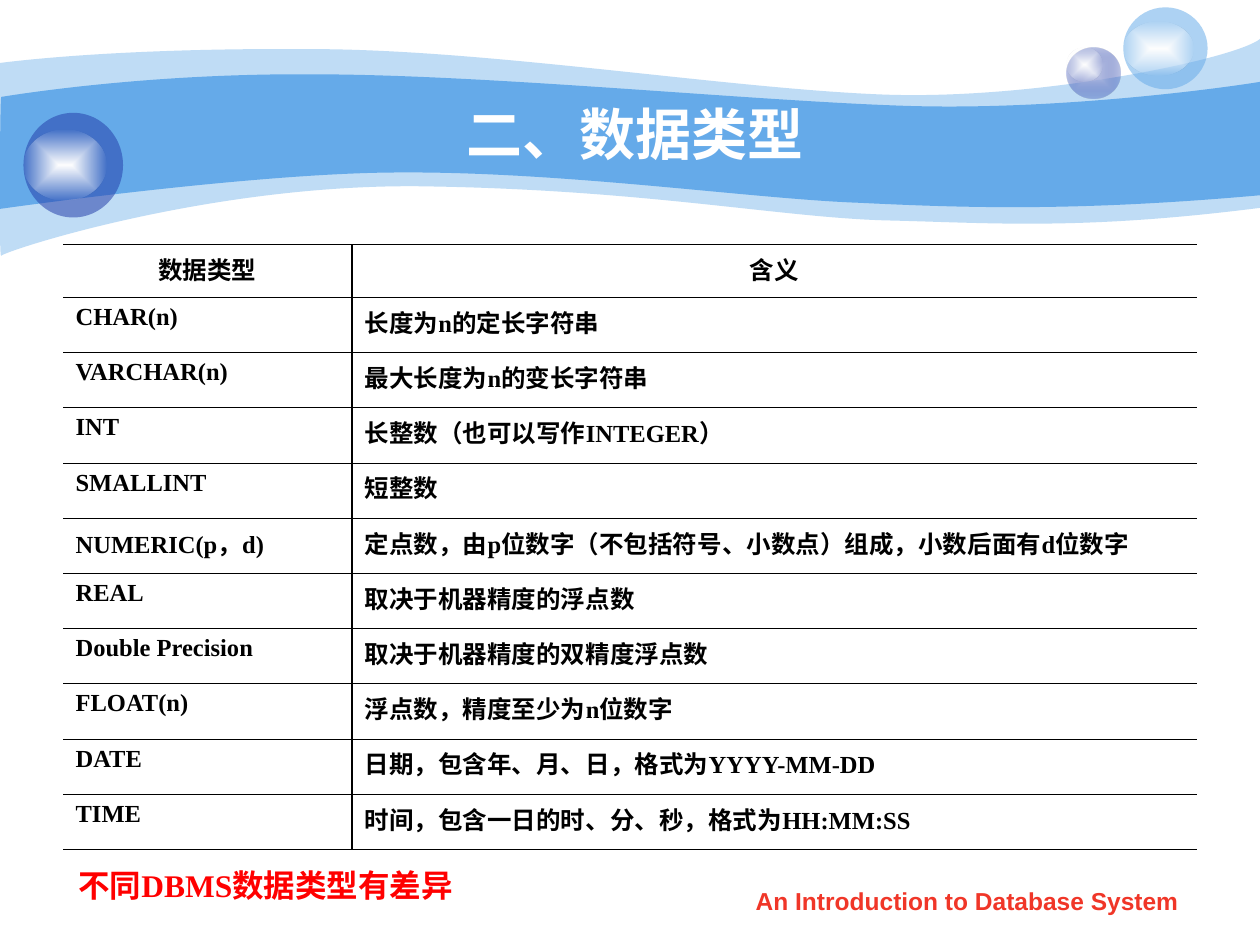
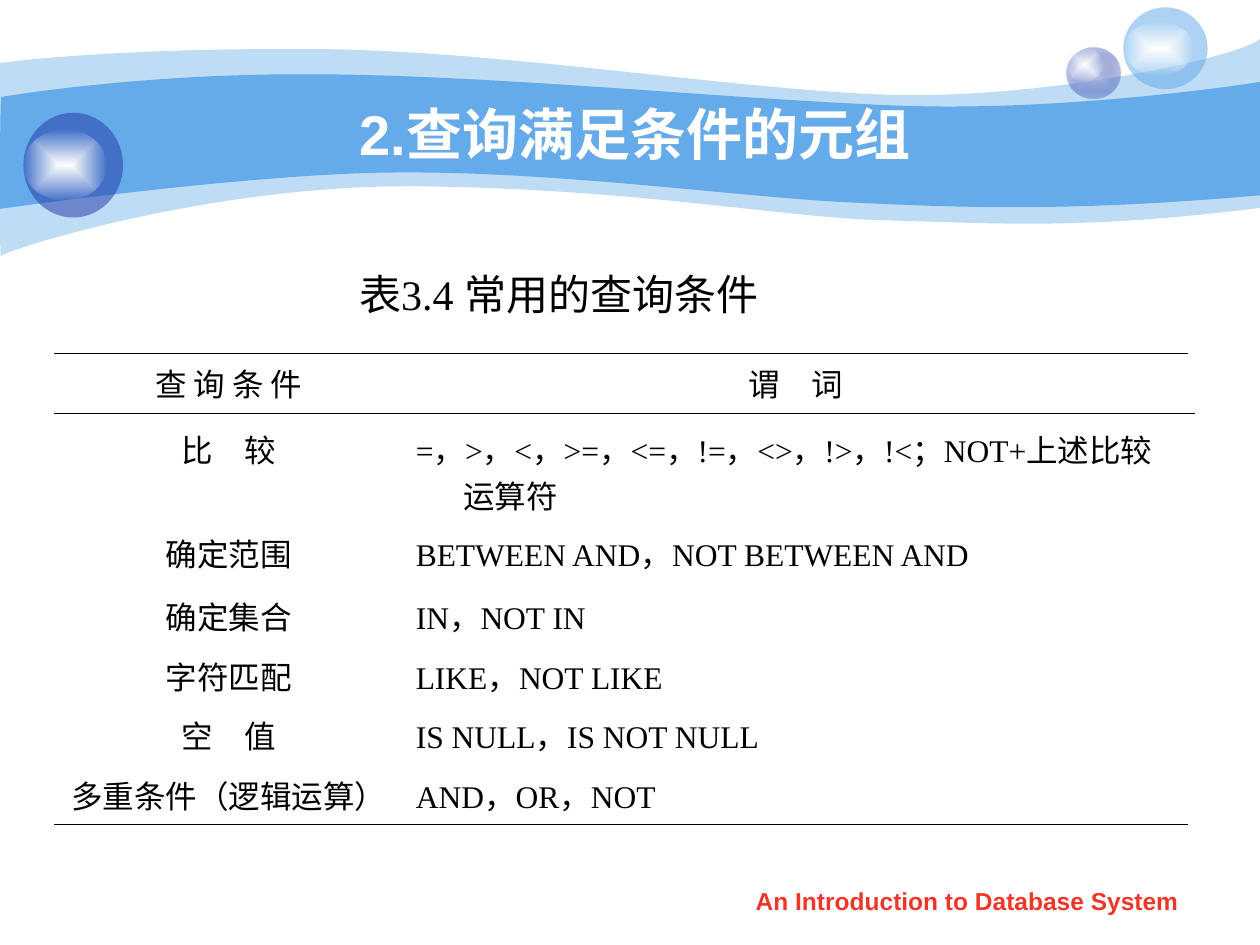
from pptx import Presentation
from pptx.dml.color import RGBColor
from pptx.enum.shapes import MSO_CONNECTOR, MSO_SHAPE
from pptx.enum.text import MSO_ANCHOR, PP_ALIGN
from pptx.oxml import parse_xml
from pptx.oxml.ns import nsdecls, qn
from pptx.util import Pt

BLACK, WHITE, RED = "000000", "FFFFFF", "FF0000"
SKY, NAVY, LILAC, FOOTER_RED = "65AAE9", "233DA9", "C7CEE9", "F03628"
SANS, SERIF = "Arial", "Times New Roman"
FOOTER = "An Introduction to Database System"
PLAIN_TABLE = "{2D5ABB26-0587-4C30-8999-92F81FD0307C}"
INDENT = 27

TYPES_TITLE = "二、数据类型"
TYPES_NOTE = "不同DBMS数据类型有差异"
TYPES = [
    ("数据类型", "含义"),
    ("CHAR(n)", "长度为n的定长字符串"),
    ("VARCHAR(n)", "最大长度为n的变长字符串"),
    ("INT", "长整数（也可以写作INTEGER）"),
    ("SMALLINT", "短整数"),
    ("NUMERIC(p，d)", "定点数，由p位数字（不包括符号、小数点）组成，小数后面有d位数字"),
    ("REAL", "取决于机器精度的浮点数"),
    ("Double Precision", "取决于机器精度的双精度浮点数"),
    ("FLOAT(n)", "浮点数，精度至少为n位数字"),
    ("DATE", "日期，包含年、月、日，格式为YYYY-MM-DD"),
    ("TIME", "时间，包含一日的时、分、秒，格式为HH:MM:SS"),
]

QUERY_TITLE = "2.查询满足条件的元组"
QUERY_CAPTION = "表3.4 常用的查询条件"
CONDITIONS = [
    ("查 询 条 件", "谓　词"),
    ("比　较", "=，>，<，>=，<=，!=，<>，!>，!<；NOT+上述比较运算符"),
    ("确定范围", "BETWEEN AND，NOT BETWEEN AND"),
    ("确定集合", "IN，NOT IN"),
    ("字符匹配", "LIKE，NOT LIKE"),
    ("空　值", "IS NULL，IS NOT NULL"),
    ("多重条件（逻辑运算）", "AND，OR，NOT"),
]

PALE_WAVE = [
    (0, 36),
    (17.3, 33.8, 77, 27.4, 177.8, 28.1),
    (277.9, 28.1, 414, 50.4, 503.3, 54),
    (591.8, 57.6, 705.6, 33.8, 720, 22.3),
    (720, 118.8),
    (617.8, 131.8, 566.6, 127.4, 507.6, 126),
    (447.8, 124.6, 370.8, 108.7, 247, 106.6),
    (123.8, 103.7, 2.9, 143.3, 0.7, 146.2),
    (-0.7, 149.8, 0, 54, 0, 36),
]
BRIGHT_WAVE = [
    (0.7, 55.4),
    (1.4, 55.4, 79.2, 41.8, 178.6, 42.5),
    (277.9, 42.5, 428.4, 57.6, 517, 60.5),
    (605.5, 63.4, 702.7, 49.7, 720, 46.8),
    (720, 111.6),
    (614.2, 121, 550.8, 118.8, 491, 115.9),
    (431.3, 113.8, 321.8, 97.9, 228.2, 98.6),
    (146.2, 98.6, -1.4, 119.5, -0.7, 119.5),
    (0, 119.5, 0, 55.4, 0.7, 55.4),
]
WAVES = [(PALE_WAVE, [(SKY, 41)]), (BRIGHT_WAVE, [(SKY, 100)])]

GLOW = [(WHITE, 100), (WHITE, 0)]
BUBBLES = [
    ((609.8, 27.4, 30.2, 28.8), [(LILAC, 100), (NAVY, 31)]),
    ((609.8, 27.4, 20.2, 19.4), GLOW),
    ((641.9, 4.2, 48.2, 46.8), [(SKY, 53)]),
    ((641.9, 12.2, 40.3, 31), GLOW),
    ((13.4, 64.5, 56.9, 59.8), [(NAVY, 53)]),
    ((13.4, 74.2, 47.5, 40.3), GLOW),
]


def rgb(color):
    return RGBColor.from_string(color)


def pts(values):
    return [Pt(v) for v in values]


def color_xml(color, alpha):
    opacity = f'<a:alpha val="{alpha * 1000}"/>' if alpha < 100 else ""
    return f'<a:srgbClr val="{color}">{opacity}</a:srgbClr>'


def paint(sp, stops):
    sp.shadow.inherit = False
    sp.line.fill.background()
    sp.fill.solid()
    if len(stops) == 1:
        xml = f'<a:solidFill {nsdecls("a")}>{color_xml(*stops[0])}</a:solidFill>'
    else:
        gs = "".join(f'<a:gs pos="{i * 100000}">{color_xml(*stop)}</a:gs>'
                     for i, stop in enumerate(stops))
        xml = (f'<a:gradFill {nsdecls("a")} rotWithShape="1"><a:gsLst>{gs}</a:gsLst>'
               '<a:path path="rect"><a:fillToRect l="50000" t="50000" r="50000" b="50000"/>'
               '</a:path></a:gradFill>')
    spPr = sp._element.spPr
    spPr.replace(spPr.find(qn("a:solidFill")), parse_xml(xml))


def add_wave(s, outline, stops):
    start, *segments = outline
    points = [pts(seg[i:i + 2]) for seg in segments for i in range(0, len(seg), 2)]
    fb = s.shapes.build_freeform(*pts(start))
    fb.add_line_segments(points, close=True)
    sp = fb.convert_to_shape()
    lines = iter(list(sp._element.spPr.iter(qn("a:lnTo"))))
    for seg in segments:
        first = next(lines)
        if len(seg) == 6:
            curve = parse_xml(f'<a:cubicBezTo {nsdecls("a")}/>')
            first.addprevious(curve)
            for line in (first, next(lines), next(lines)):
                curve.append(line[0])
                line.getparent().remove(line)
    paint(sp, stops)


def style(tf, size, color, font, bold, align):
    p = tf.paragraphs[0]
    p.alignment = align
    for r in p.runs:
        r.font.size, r.font.name, r.font.bold = Pt(size), font, bold
        r.font.color.rgb = rgb(color)


def add_text(s, text, box, size, color, font=SANS, bold=True, wrap=True,
             anchor=MSO_ANCHOR.TOP):
    tf = s.shapes.add_textbox(*pts(box)).text_frame
    tf.text = text
    tf.word_wrap = wrap
    tf.vertical_anchor = anchor
    style(tf, size, color, font, bold, PP_ALIGN.CENTER)


def set_borders(cell, borders):
    tcPr = cell._tc.get_or_add_tcPr()
    for i, side in enumerate(side for side in "LRTB" if side in borders):
        tcPr.insert(i, parse_xml(
            f'<a:ln{side} {nsdecls("a")} w="{Pt(borders[side])}"><a:solidFill>'
            f'<a:srgbClr val="{BLACK}"/></a:solidFill></a:ln{side}>'))


def add_grid(s, rows, left, top, widths, heights, size, bold, centred, borders):
    frame = s.shapes.add_table(len(rows), len(widths),
                               *pts((left, top, sum(widths), sum(heights))))
    table = frame.table
    table.first_row = table.horz_banding = False
    table._tbl.tblPr.find(qn("a:tableStyleId")).text = PLAIN_TABLE
    for column, width in zip(table.columns, widths):
        column.width = Pt(width)
    for i, (row, height) in enumerate(zip(rows, heights)):
        table.rows[i].height = Pt(height)
        for j, text in enumerate(row):
            cell = table.cell(i, j)
            cell.text = text
            cell.fill.background()
            align = PP_ALIGN.CENTER if centred(i, j) else PP_ALIGN.LEFT
            style(cell.text_frame, size, BLACK, SERIF, bold, align)
            pPr = cell.text_frame.paragraphs[0]._p.get_or_add_pPr()
            pPr.set("marL", str(Pt(INDENT)))
            pPr.set("indent", str(Pt(-INDENT)))
            set_borders(cell, borders(i, j))


def add_rule(s, x1, x2, y):
    line = s.shapes.add_connector(MSO_CONNECTOR.STRAIGHT, *pts((x1, y, x2, y)))
    line.line.color.rgb = rgb(BLACK)
    line.line.width = Pt(0.75)
    line._element.spPr.append(parse_xml(f'<a:effectLst {nsdecls("a")}/>'))


def new_slide(prs, title):
    s = prs.slides.add_slide(prs.slide_layouts[6])
    for outline, stops in WAVES:
        add_wave(s, outline, stops)
    for box, stops in BUBBLES:
        paint(s.shapes.add_shape(MSO_SHAPE.OVAL, *pts(box)), stops)
    add_text(s, FOOTER, (411, 502.5, 283.5, 25), 14, FOOTER_RED)
    add_text(s, title, (72, 53.5, 582, 45), 32, WHITE, anchor=MSO_ANCHOR.MIDDLE)
    return s


def types_slide(prs):
    def borders(i, j):
        return {"T": 0.45, "B": 0.45, "LR"[1 - j]: 1.08}

    s = new_slide(prs, TYPES_TITLE)
    heights = [30.24] + [31.57] * (len(TYPES) - 1)
    add_grid(s, TYPES, 36, 139.7, (165.2, 482.8), heights, 14, True,
             lambda i, j: i == 0, borders)
    add_text(s, TYPES_NOTE, (33.3, 491.4, 237, 29), 18, RED, SERIF, wrap=False)


def query_slide(prs):
    def borders(i, j):
        return {0: {"T": 0.45}, len(CONDITIONS) - 1: {"B": 0.45}}.get(i, {})

    s = new_slide(prs, QUERY_TITLE)
    heights = [38, 59.4, 36] + [34] * 4
    add_grid(s, CONDITIONS, 31, 202, (199.4, 448.6), heights, 18, False,
             lambda i, j: i == 0 or j == 0, borders)
    add_rule(s, 31, 683, 236.2)
    add_text(s, QUERY_CAPTION, (165.6, 150, 307.4, 36), 24, BLACK, SERIF,
             bold=False, wrap=False)


def main():
    prs = Presentation()
    prs.slide_width, prs.slide_height = Pt(720), Pt(540)
    types_slide(prs)
    query_slide(prs)
    prs.save("out.pptx")


if __name__ == "__main__":
    main()
